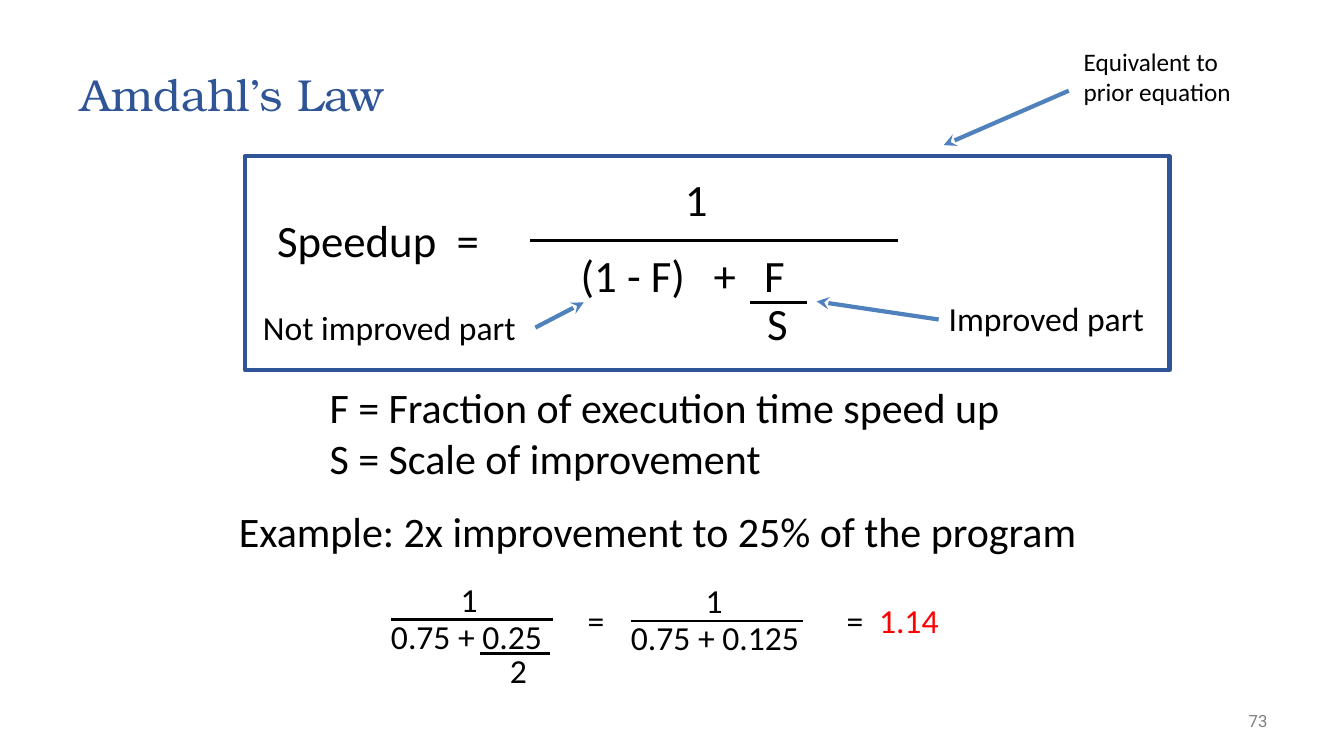
from dataclasses import dataclass

from lxml import etree
from pptx import Presentation
from pptx.dml.color import RGBColor
from pptx.enum.shapes import MSO_CONNECTOR, MSO_SHAPE
from pptx.enum.text import MSO_ANCHOR, PP_ALIGN
from pptx.oxml.ns import qn
from pptx.util import Inches, Pt

STRAIGHT = MSO_CONNECTOR.STRAIGHT
RECTANGLE = MSO_SHAPE.RECTANGLE
LEFT, CENTER, RIGHT = PP_ALIGN.LEFT, PP_ALIGN.CENTER, PP_ALIGN.RIGHT
TOP, MIDDLE = MSO_ANCHOR.TOP, MSO_ANCHOR.MIDDLE


@dataclass(frozen=True)
class Theme:
    body_font: str = "Calibri"
    title_font: str = "TeX Gyre Bonum"
    number_font: str = "Roboto"
    ink: str = "000000"
    navy: str = "2F5597"
    arrow: str = "4F81BD"
    answer: str = "FF0000"
    gray: str = "808080"
    formula: int = 32
    statement: int = 30
    label: int = 24
    note: int = 18
    number: int = 12
    rule: int = 2
    heavy: int = 3


THEME = Theme()


def add_text(page, box, text, size, color=THEME.ink, font=THEME.body_font,
             align=LEFT, anchor=TOP, inset=(0.1, 0.05), tabs=()):
    """Place text in box (left, top, width, height); tabs are inches from the text edge."""
    frame = page.shapes.add_textbox(*map(Inches, box)).text_frame
    frame.word_wrap = True
    frame.vertical_anchor = anchor
    frame.margin_left = frame.margin_right = Inches(inset[0])
    frame.margin_top = frame.margin_bottom = Inches(inset[1])
    frame.text = text
    for para in frame.paragraphs:
        para.alignment = align
        if tabs:
            stops = etree.SubElement(para._p.get_or_add_pPr(), qn("a:tabLst"))
            for tab in tabs:
                etree.SubElement(stops, qn("a:tab"), pos=str(Inches(tab)), algn="l")
        for span in para.runs:
            span.font.size = Pt(size)
            span.font.name = font
            span.font.color.rgb = RGBColor.from_string(color)


def add_line(page, start, end, color=THEME.ink, width=THEME.rule):
    line = page.shapes.add_connector(STRAIGHT, *map(Inches, (*start, *end)))
    line.line.color.rgb = RGBColor.from_string(color)
    line.line.width = Pt(width)
    etree.SubElement(line._element.spPr, qn("a:effectLst"))
    return line


def add_arrow(page, start, end):
    arrow = add_line(page, start, end, THEME.arrow, THEME.heavy)
    etree.SubElement(arrow.line._get_or_add_ln(), qn("a:tailEnd"), type="stealth")


def add_title(page, box):
    add_text(page, box, "Amdahl’s Law", THEME.formula, THEME.navy,
             THEME.title_font, anchor=MIDDLE, inset=(0.13, 0.07))


def add_speedup_formula(page, box):
    left, top, width, height = box
    frame = page.shapes.add_shape(RECTANGLE, *map(Inches, box))
    frame.shadow.inherit = False
    frame.fill.background()
    frame.line.color.rgb = RGBColor.from_string(THEME.navy)
    frame.line.width = Pt(THEME.heavy)

    terms = [
        ((0.22, 0.51, 2.6, 0.64), "Speedup\t=", LEFT, (1.78,)),
        ((3.28, 0.1, 2.39, 0.64), "1", CENTER, ()),
        ((3.23, 0.86, 2.39, 0.64), "(1 - F)\t+\tF", LEFT, (1.32, 1.82)),
        ((5.08, 1.33, 0.41, 0.64), "S", LEFT, ()),
    ]
    for (x, y, w, h), text, align, tabs in terms:
        add_text(page, (left + x, top + y, w, h), text, THEME.formula,
                 align=align, tabs=tabs)
    for x, y, length in [(2.83, 0.84, 3.65), (5.01, 1.45, 0.56)]:
        add_line(page, (left + x, top + y), (left + x + length, top + y))

    add_text(page, (left + 0.08, top + 1.45, 2.8, 0.5), "Not improved part", THEME.label)
    add_text(page, (left + 6.88, top + 1.36, 2.15, 0.5), "Improved part", THEME.label)
    add_arrow(page, (left + 2.88, top + 1.7), (left + 3.36, top + 1.45))
    add_arrow(page, (left + 6.88, top + 1.62), (left + 5.67, top + 1.44))


def add_equivalence_note(page, box):
    left, top, _, _ = box
    add_text(page, box, "Equivalent to prior equation", THEME.note, inset=(0.1, 0.1))
    add_arrow(page, (left - 0.05, top + 0.54), (left - 1.29, top + 1.08))


def add_definitions(page, box):
    add_text(page, box,
             "F = Fraction of execution time speed up\nS = Scale of improvement",
             THEME.statement)


def add_fraction(page, box, denominator, numerator_offset):
    """Draw 1 over the denominator, with the bar as wide as the box."""
    left, top, width, _ = box
    add_text(page, (left + numerator_offset, top, 0.37, 0.5), "1", THEME.label)
    add_text(page, (left - 0.1, top + 0.37, width + 0.27, 0.5), denominator, THEME.label)
    add_line(page, (left, top + 0.46), (left + width, top + 0.46))


def add_example(page, box):
    left, top, width, _ = box
    add_text(page, (left, top, width, 0.84),
             "Example: 2x improvement to 25% of the program",
             THEME.statement, inset=(0.1, 0.1))
    row = top + 0.77
    add_fraction(page, (left + 1.61, row, 1.6, 0.87), "0.75 + 0.25", 0.59)
    add_line(page, (left + 2.49, row + 0.79), (left + 3.18, row + 0.79))
    add_text(page, (left + 2.69, row + 0.71, 0.37, 0.5), "2", THEME.label)
    add_fraction(page, (left + 3.99, row + 0.01, 1.7, 0.87), "0.75 + 0.125", 0.64)

    results = [(3.46, 0.37, "=", THEME.ink), (6.03, 0.37, "=", THEME.ink),
               (6.35, 0.8, "1.14", THEME.answer)]
    for x, w, text, color in results:
        add_text(page, (left + x, row + 0.21, w, 0.5), text, THEME.label, color)


def add_page_number(page, box):
    add_text(page, box, "73", THEME.number, THEME.gray, THEME.number_font,
             align=RIGHT, anchor=MIDDLE)


def main():
    deck = Presentation()
    deck.slide_width, deck.slide_height = Inches(13.33), Inches(7.5)
    page = deck.slides.add_slide(deck.slide_layouts[6])
    add_title(page, (0.67, 0.3, 12, 1.25))
    add_equivalence_note(page, (10.65, 0.36, 1.89, 1.71))
    add_speedup_formula(page, (2.43, 1.55, 9.17, 2.12))
    add_definitions(page, (3.17, 3.74, 8, 1.12))
    add_example(page, (2.27, 4.92, 8.65, 2))
    add_page_number(page, (9.56, 6.95, 3.11, 0.4))
    deck.save("out.pptx")


if __name__ == "__main__":
    main()
